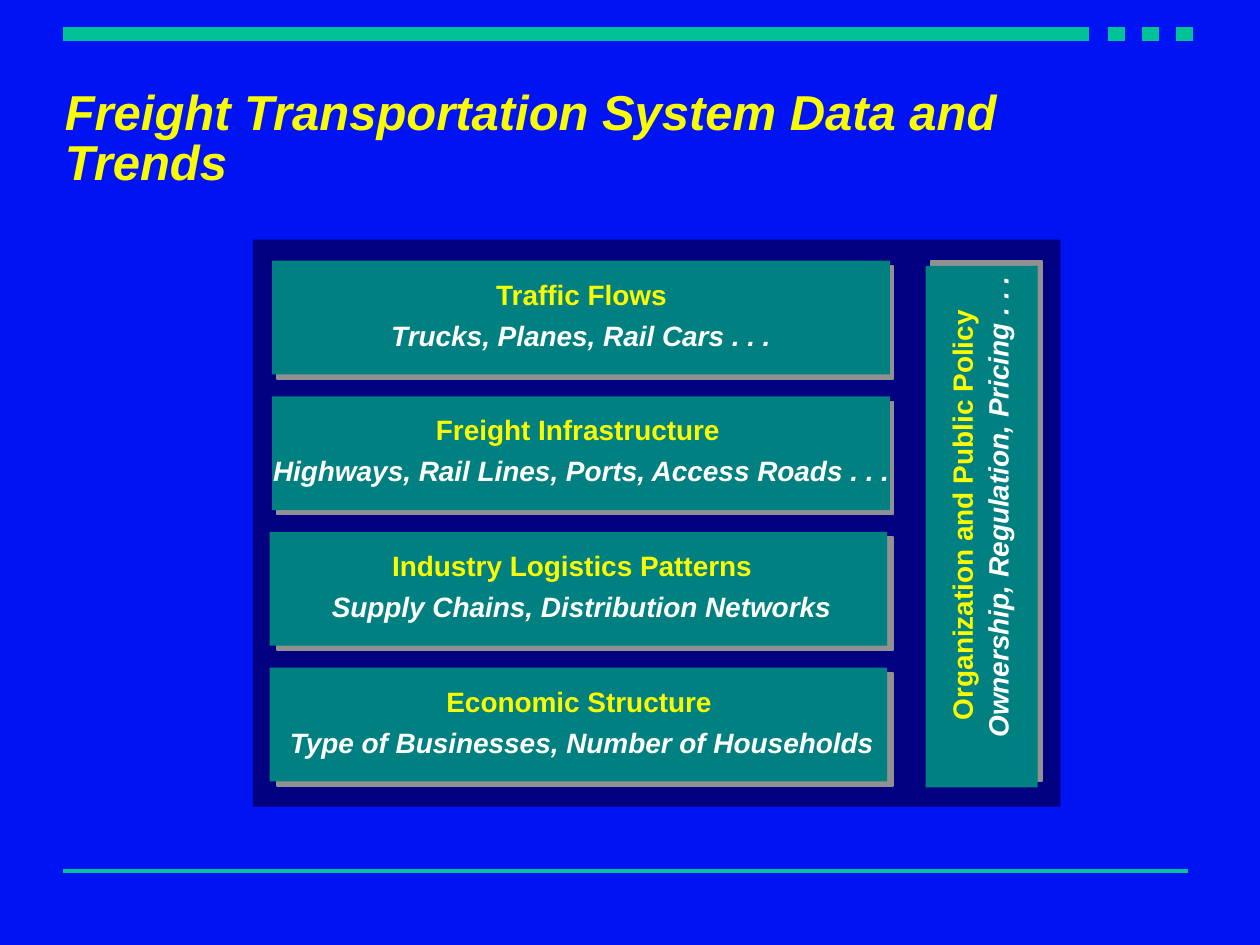
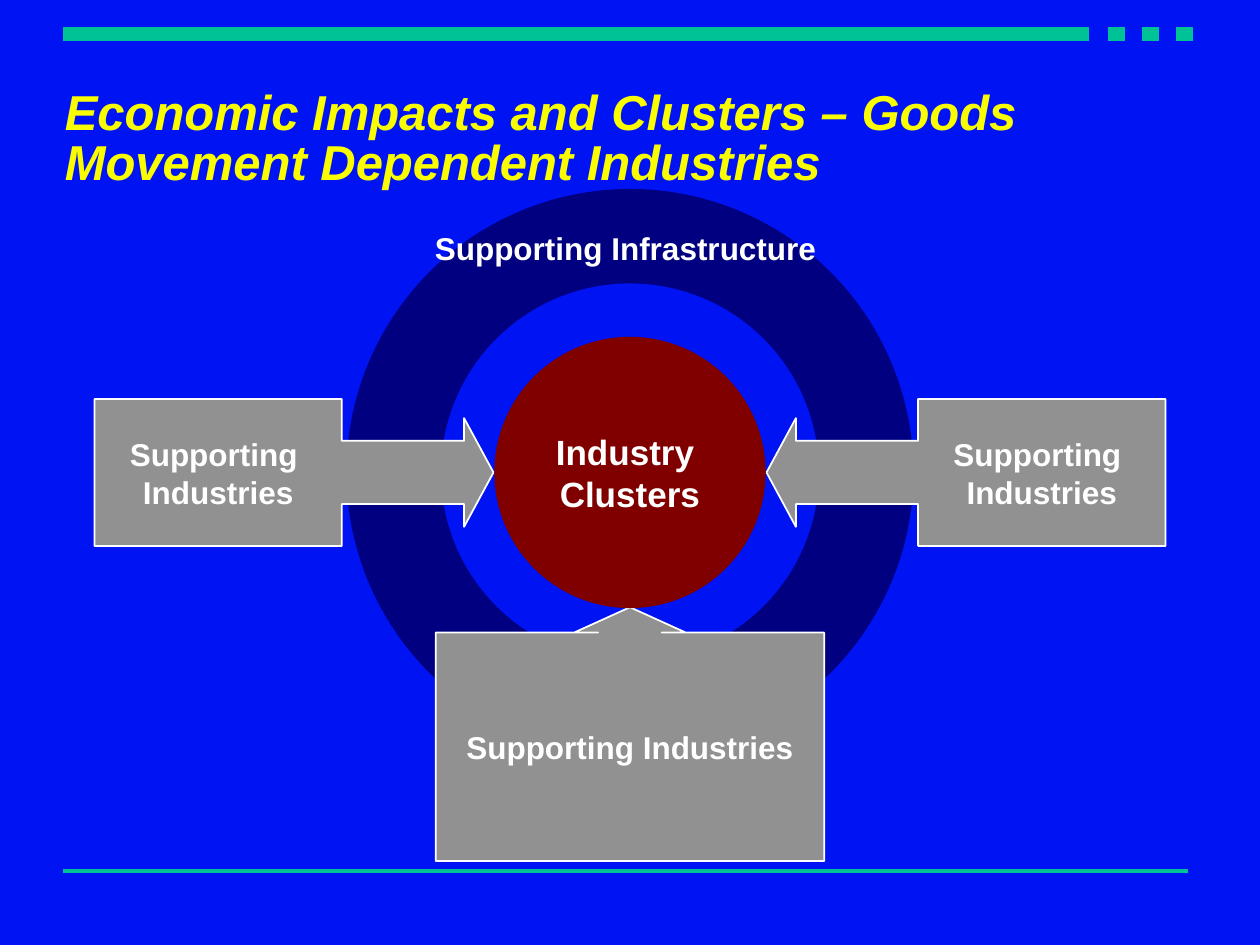
from dataclasses import dataclass

from lxml.etree import SubElement
from pptx import Presentation
from pptx.dml.color import RGBColor
from pptx.enum.shapes import MSO_CONNECTOR, MSO_SHAPE
from pptx.enum.text import MSO_ANCHOR, MSO_AUTO_SIZE, PP_ALIGN
from pptx.oxml.ns import qn
from pptx.util import Pt

FREIGHT_TITLE = "Freight Transportation System Data and Trends"
CLUSTERS_TITLE = "Economic Impacts and Clusters – Goods Movement Dependent Industries"

LAYERS = [
    ("Traffic Flows", 333.5, 114, "Trucks, Planes, Rail Cars . . .", 233, 155.5),
    ("Freight Infrastructure", 331, 178,
     "Highways, Rail Lines, Ports, Access Roads . . .", 368, 155.5),
    ("Industry Logistics Patterns", 328, 222,
     "Supply Chains, Distribution Networks", 301, 154),
    ("Economic Structure", 333, 170,
     "Type of Businesses, Number of Households", 349, 154),
]
POLICY = ("Organization and Public Policy", 551, 292.5, 252)
POLICY_EXAMPLES = ("Ownership, Regulation, Pricing . . .", 571.5, 288.5, 280)

INFRASTRUCTURE = "Supporting Infrastructure "
CLUSTERS = "Industry \nClusters"
SIDE_ADJUST = (0.43, 0.37, 0.2, 0.62)
SUPPORTERS = [
    (MSO_SHAPE.RIGHT_ARROW_CALLOUT, (54, 228, 228, 84), SIDE_ADJUST,
     "Supporting \nIndustries"),
    (MSO_SHAPE.LEFT_ARROW_CALLOUT, (438, 228, 228, 84), SIDE_ADJUST,
     "Supporting \nIndustries"),
    (MSO_SHAPE.UP_ARROW_CALLOUT, (249, 347, 222, 145), (0.25, 0.22, 0.1, 1.28),
     "Supporting Industries"),
]


@dataclass(frozen=True)
class Theme:
    font: str = "Arial"
    background: str = "0014F3"
    rule: str = "00C297"
    yellow: str = "FAFD00"
    white: str = "FFFFFF"
    navy: str = "000080"
    teal: str = "008080"
    grey: str = "919191"
    maroon: str = "800000"
    title_size: int = 28
    layer_size: int = 16
    support_size: int = 18
    cluster_size: int = 20


THEME = Theme()


def rgb(color):
    return RGBColor.from_string(color)


def write(frame, text, size, color, italic=False, align=PP_ALIGN.LEFT, spacing=None):
    frame.text = text
    for paragraph in frame.paragraphs:
        paragraph.alignment = align
        if spacing:
            paragraph.line_spacing = spacing
        for run in paragraph.runs:
            run.font.name = THEME.font
            run.font.size = Pt(size)
            run.font.bold = True
            run.font.italic = italic
            run.font.color.rgb = rgb(color)


def add_rule(slide, start, end, y, width):
    rule = slide.shapes.add_connector(
        MSO_CONNECTOR.STRAIGHT, Pt(start), Pt(y), Pt(end), Pt(y))
    rule.line.color.rgb = rgb(THEME.rule)
    rule.line.width = Pt(width)
    SubElement(rule._element.spPr, qn("a:effectLst"))


def add_slide(deck, title):
    slide = deck.slides.add_slide(deck.slide_layouts[6])
    for dash in range(3):
        start = 633 + 19.5 * dash
        add_rule(slide, start, start + 10, 19.5, 8)
    add_rule(slide, 36, 622.5, 19.5, 8)
    add_rule(slide, 36, 679, 497.7, 2)
    heading = slide.shapes.add_textbox(Pt(30), Pt(48), Pt(612), Pt(48)).text_frame
    heading.word_wrap = True
    write(heading, title, THEME.title_size, THEME.yellow, italic=True, spacing=0.85)
    return slide


def add_figure(slide, preset, bounds, fill, outline=None):
    figure = slide.shapes.add_shape(preset, *map(Pt, bounds))
    figure.shadow.inherit = False
    figure.fill.solid()
    figure.fill.fore_color.rgb = rgb(fill)
    if outline:
        figure.line.color.rgb = rgb(outline)
        figure.line.width = Pt(1)
    else:
        figure.line.fill.background()
    return figure


def add_caption(figure, text, size):
    frame = figure.text_frame
    frame.word_wrap = False
    frame.vertical_anchor = MSO_ANCHOR.MIDDLE
    write(frame, text, size, THEME.white, align=PP_ALIGN.CENTER)


def add_label(slide, text, center, middle, width, color, italic=False, rotation=0):
    height = 24.5
    label = slide.shapes.add_textbox(
        Pt(center - width / 2), Pt(middle - height / 2), Pt(width), Pt(height))
    label.rotation = rotation
    label.text_frame.word_wrap = False
    label.text_frame.auto_size = MSO_AUTO_SIZE.SHAPE_TO_FIT_TEXT
    write(label.text_frame, text, THEME.layer_size, color, italic, spacing=0.89)


def add_block(slide, block, backing):
    add_figure(slide, MSO_SHAPE.RECTANGLE, backing, THEME.grey, THEME.grey)
    add_figure(slide, MSO_SHAPE.RECTANGLE, block, THEME.teal)


def build_freight(deck):
    slide = add_slide(deck, FREIGHT_TITLE)
    add_figure(slide, MSO_SHAPE.RECTANGLE, (144.5, 137, 461.5, 324), THEME.navy)
    for row, (name, center, width, examples, span, left) in enumerate(LAYERS):
        top = 149 + 77.5 * row
        add_block(slide, (left, top, 353, 65), (158.5, top + 3, 352, 64.5))
        add_label(slide, name, center, top + 20.5, width, THEME.yellow)
        add_label(slide, examples, 333, top + 44, span, THEME.white, italic=True)
    add_block(slide, (529, 152, 64, 298), (532, 149, 63.5, 297.5))
    add_label(slide, *POLICY, THEME.yellow, rotation=270)
    add_label(slide, *POLICY_EXAMPLES, THEME.white, italic=True, rotation=270)


def build_clusters(deck):
    slide = add_slide(deck, CLUSTERS_TITLE)
    add_figure(slide, MSO_SHAPE.OVAL, (198, 108, 324, 324), THEME.navy)
    ring_label = slide.shapes.add_textbox(Pt(180), Pt(127.5), Pt(360), Pt(29)).text_frame
    ring_label.word_wrap = True
    write(ring_label, INFRASTRUCTURE, THEME.support_size, THEME.white,
          align=PP_ALIGN.CENTER)
    add_figure(slide, MSO_SHAPE.OVAL, (252, 162, 216, 216), THEME.background)
    for preset, bounds, adjustments, text in SUPPORTERS:
        supporter = add_figure(slide, preset, bounds, THEME.grey, THEME.white)
        for index, value in enumerate(adjustments):
            supporter.adjustments[index] = value
        add_caption(supporter, text, THEME.support_size)
    core = add_figure(slide, MSO_SHAPE.OVAL, (282.5, 192.5, 155, 155), THEME.maroon)
    add_caption(core, CLUSTERS, THEME.cluster_size)


def main():
    deck = Presentation()
    deck.slide_width, deck.slide_height = Pt(720), Pt(540)
    backdrop = deck.slide_master.background.fill
    backdrop.solid()
    backdrop.fore_color.rgb = rgb(THEME.background)
    build_freight(deck)
    build_clusters(deck)
    deck.save("out.pptx")


if __name__ == "__main__":
    main()
